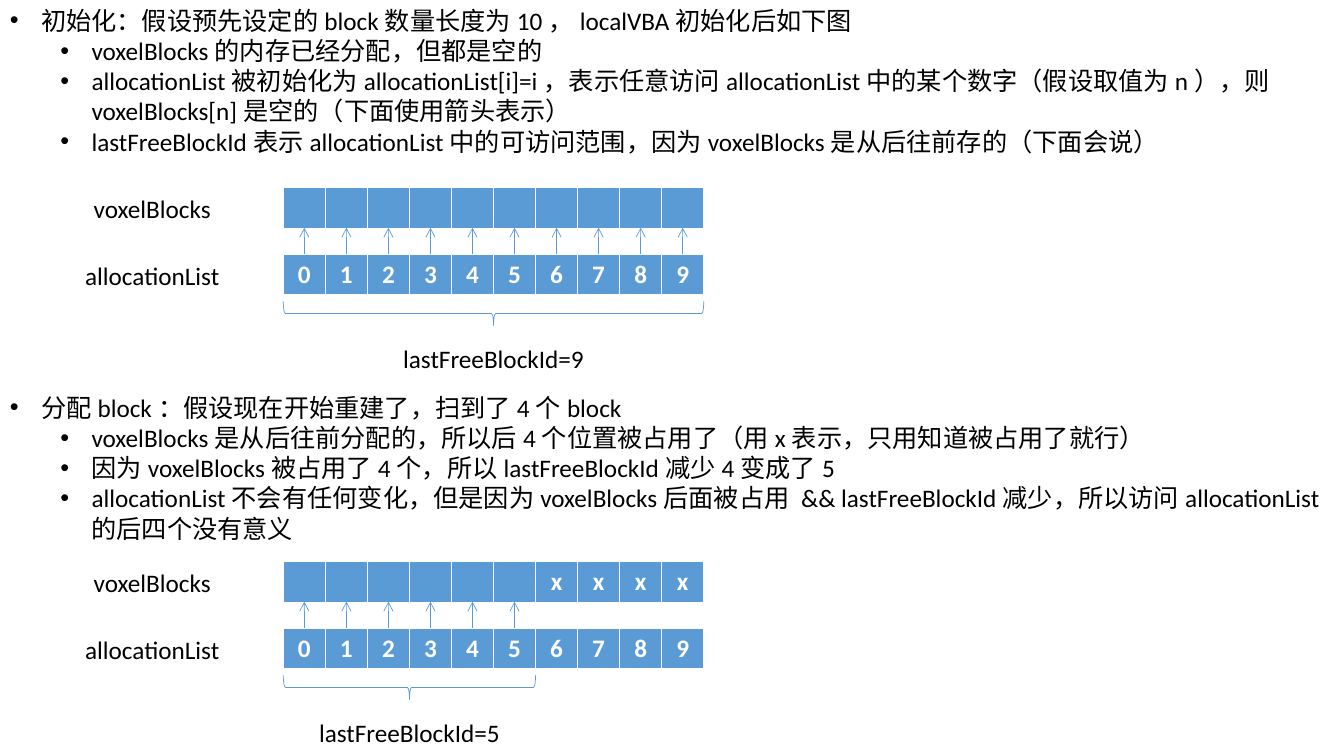
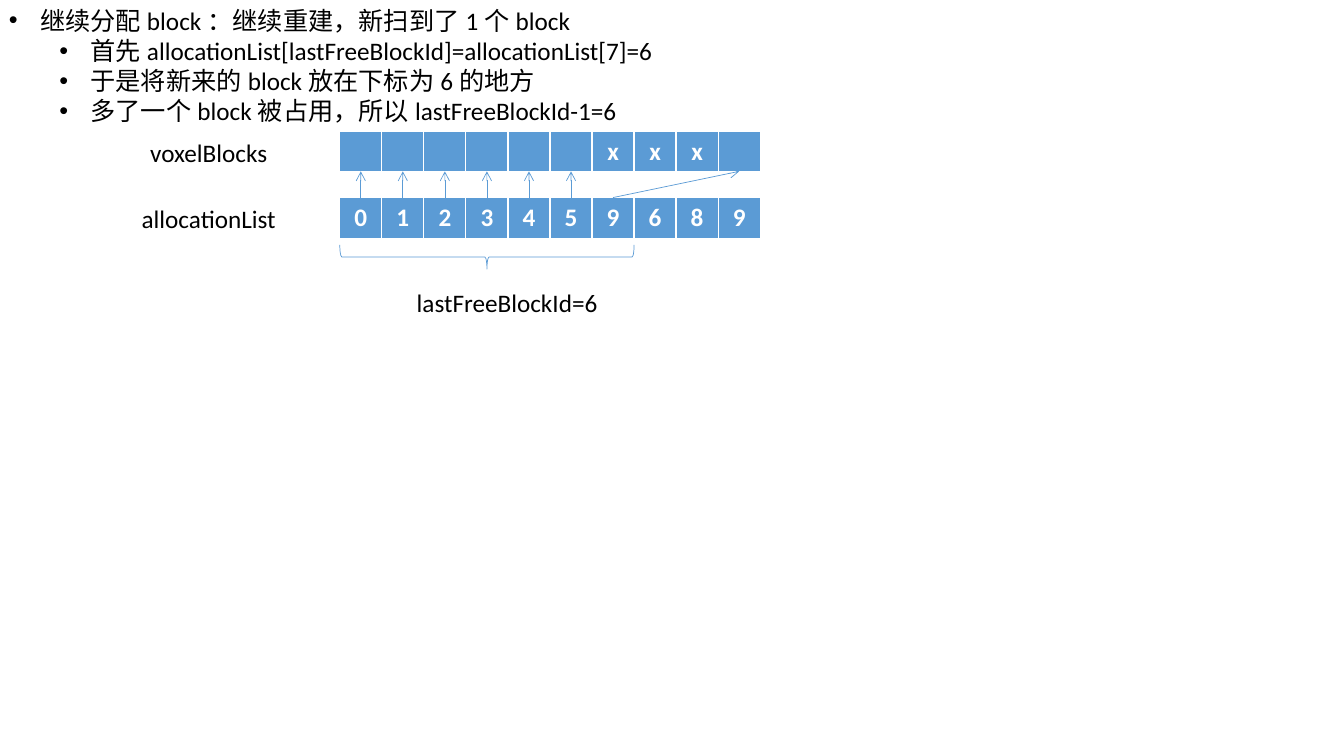
from dataclasses import dataclass

from lxml import etree
from pptx import Presentation
from pptx.dml.color import RGBColor
from pptx.enum.shapes import MSO_CONNECTOR, MSO_SHAPE
from pptx.enum.text import MSO_AUTO_SIZE, PP_ALIGN
from pptx.oxml.ns import qn
from pptx.util import Inches, Pt

STRAIGHT = MSO_CONNECTOR.STRAIGHT
RIGHT_BRACE = MSO_SHAPE.RIGHT_BRACE
FIT_SHAPE = MSO_AUTO_SIZE.SHAPE_TO_FIT_TEXT
CENTER = PP_ALIGN.CENTER
BLANK_LAYOUT = 6


@dataclass(frozen=True)
class Theme:
    font: str = "Calibri"
    size: int = 18
    text: str = "000000"
    accent: str = "5B9BD5"
    light: str = "FFFFFF"
    line: float = 0.5
    border: float = 1
    bottom_border: float = 3


THEME = Theme()
SLIDE_WIDTH, SLIDE_HEIGHT = 13.33, 7.5
ROW_WIDTH, ROW_HEIGHT = 4.17, 0.42
LIST_OFFSET = 0.66
LABEL_OFFSET, LABEL_WIDTH, LABEL_HEIGHT = -2.23, 1.86, 0.4
ARROW_END = 0.4
BRACE_DEPTH, BRACE_CENTER = 0.24, 1.25
CAPTION_OFFSET, CAPTION_WIDTH = 1.5, 2.9
BULLET_INDENT, LEVEL_INDENT = 0.31, 0.5


def style_text(paragraph, **changes):
    font = paragraph.font
    values = {"name": THEME.font, "size": Pt(THEME.size), "bold": False}
    color = changes.pop("color", THEME.text)
    for name, value in {**values, **changes}.items():
        setattr(font, name, value)
    font.color.rgb = RGBColor.from_string(color)


def style_line(shape):
    shape.line.color.rgb = RGBColor.from_string(THEME.accent)
    shape.line.width = Pt(THEME.line)


def add_text(slide, left, top, width, height):
    box = slide.shapes.add_textbox(*map(Inches, (left, top, width, height)))
    frame = box.text_frame
    for name, value in {"word_wrap": True, "auto_size": FIT_SHAPE}.items():
        setattr(frame, name, value)
    return frame


def add_label(slide, text, left, top, width):
    paragraph = add_text(slide, left, top, width, LABEL_HEIGHT).paragraphs[0]
    paragraph.text = text
    paragraph.alignment = CENTER
    style_text(paragraph)


def add_bullets(slide, lines, left, top, height):
    frame = add_text(slide, left, top, SLIDE_WIDTH, height)
    for index, line in enumerate(lines):
        paragraph = frame.add_paragraph() if index else frame.paragraphs[0]
        paragraph.text = line
        paragraph.level = min(index, 1)
        style_text(paragraph)
        properties = paragraph._p.get_or_add_pPr()
        margin = BULLET_INDENT + LEVEL_INDENT * paragraph.level
        properties.set("marL", str(Inches(margin)))
        properties.set("indent", str(-Inches(BULLET_INDENT)))
        bullet_font = etree.Element(qn("a:buFont"), typeface="Arial")
        bullet = etree.Element(qn("a:buChar"), char="•")
        properties.insert(0, bullet_font)
        properties.insert(1, bullet)


def add_borders(cell):
    properties = cell._tc.get_or_add_tcPr()
    for side in "LRTB":
        width = THEME.bottom_border if side == "B" else THEME.border
        border = etree.SubElement(properties, qn(f"a:ln{side}"), w=str(Pt(width)))
        fill = etree.SubElement(border, qn("a:solidFill"))
        etree.SubElement(fill, qn("a:srgbClr"), val=THEME.light)


def add_array(slide, values, left, top):
    frame = slide.shapes.add_table(
        1, len(values), *map(Inches, (left, top, ROW_WIDTH, ROW_HEIGHT)))
    table = frame.table
    table.horz_banding = False
    for index, value in enumerate(values):
        table.columns[index].width = Inches(ROW_WIDTH / len(values))
        cell = table.cell(0, index)
        add_borders(cell)
        cell.fill.solid()
        cell.fill.fore_color.rgb = RGBColor.from_string(THEME.accent)
        paragraph = cell.text_frame.paragraphs[0]
        paragraph.text = value.strip()
        paragraph.alignment = CENTER
        style_text(paragraph, bold=True, color=THEME.light)


def add_arrow(slide, start, end):
    arrow = slide.shapes.add_connector(STRAIGHT, *map(Inches, (*start, *end)))
    style_line(arrow)
    etree.SubElement(arrow.line._get_or_add_ln(), qn("a:tailEnd"), type="arrow")
    etree.SubElement(arrow._element.spPr, qn("a:effectLst"))


def add_brace(slide, center, middle, span):
    box = (center - BRACE_DEPTH / 2, middle - span / 2, BRACE_DEPTH, span)
    brace = slide.shapes.add_shape(RIGHT_BRACE, *map(Inches, box))
    brace.rotation = 90
    brace.shadow.inherit = False
    brace.fill.background()
    style_line(brace)


def add_diagram(slide, left, top, blocks, allocation, arrows, free, last_id, shift=0):
    cell_width = ROW_WIDTH / len(blocks)
    rows = (("voxelBlocks", blocks, 0), ("allocationList", allocation, LIST_OFFSET))
    for name, values, offset in rows:
        add_array(slide, values, left, top + offset)
        add_label(slide, name, left + LABEL_OFFSET, top + offset + 0.01, LABEL_WIDTH)
    for source, target in arrows:
        add_arrow(slide,
                  (left + cell_width * (source + 0.5), top + LIST_OFFSET),
                  (left + cell_width * (target + 0.5), top + ARROW_END))
    span = cell_width * free
    center = left + span / 2
    add_brace(slide, center, top + BRACE_CENTER, span)
    add_label(slide, f"lastFreeBlockId={last_id}",
              center + shift - CAPTION_WIDTH / 2, top + CAPTION_OFFSET, CAPTION_WIDTH)


def straight_arrows(count):
    return [(index, index) for index in range(count)]


def build_first_allocation(slide):
    add_bullets(slide, (
        "初始化：假设预先设定的block数量长度为10，localVBA初始化后如下图",
        "voxelBlocks的内存已经分配，但都是空的",
        "allocationList被初始化为allocationList[i]=i，表示任意访问allocationList中的某个数字"
        "（假设取值为n），则voxelBlocks[n]是空的（下面使用箭头表示）",
        "lastFreeBlockId表示allocationList中的可访问范围，因为voxelBlocks是从后往前存的（下面会说）",
    ), 0, 0, 1.61)
    add_diagram(slide, 2.81, 1.86, " " * 10, "0123456789", straight_arrows(10), 10, 9)
    add_bullets(slide, (
        "分配block：假设现在开始重建了，扫到了4个block",
        "voxelBlocks是从后往前分配的，所以后4个位置被占用了（用x表示，只用知道被占用了就行）",
        "因为voxelBlocks被占用了4个，所以lastFreeBlockId减少4变成了5",
        "allocationList不会有任何变化，但是因为voxelBlocks后面被占用 && lastFreeBlockId减少，"
        "所以访问allocationList的后四个没有意义",
    ), 0, 3.84, 1.61)
    add_diagram(slide, 2.81, 5.57, " " * 6 + "xxxx", "0123456789",
                straight_arrows(6), 6, 5)


def build_next_allocation(slide):
    add_bullets(slide, (
        "继续分配block：继续重建，新扫到了1个block",
        "首先allocationList[lastFreeBlockId]=allocationList[7]=6",
        "于是将新来的block放在下标为6的地方",
        "多了一个block被占用，所以lastFreeBlockId-1=6",
    ), -0.01, 0, 1.31)
    add_diagram(slide, 3.37, 1.3, " " * 6 + "xxx ", "0123459689",
                straight_arrows(6) + [(6, 9)], 7, 6, shift=0.2)


presentation = Presentation()
presentation.slide_width = Inches(SLIDE_WIDTH)
presentation.slide_height = Inches(SLIDE_HEIGHT)
for build in (build_first_allocation, build_next_allocation):
    build(presentation.slides.add_slide(presentation.slide_layouts[BLANK_LAYOUT]))
presentation.save("out.pptx")
